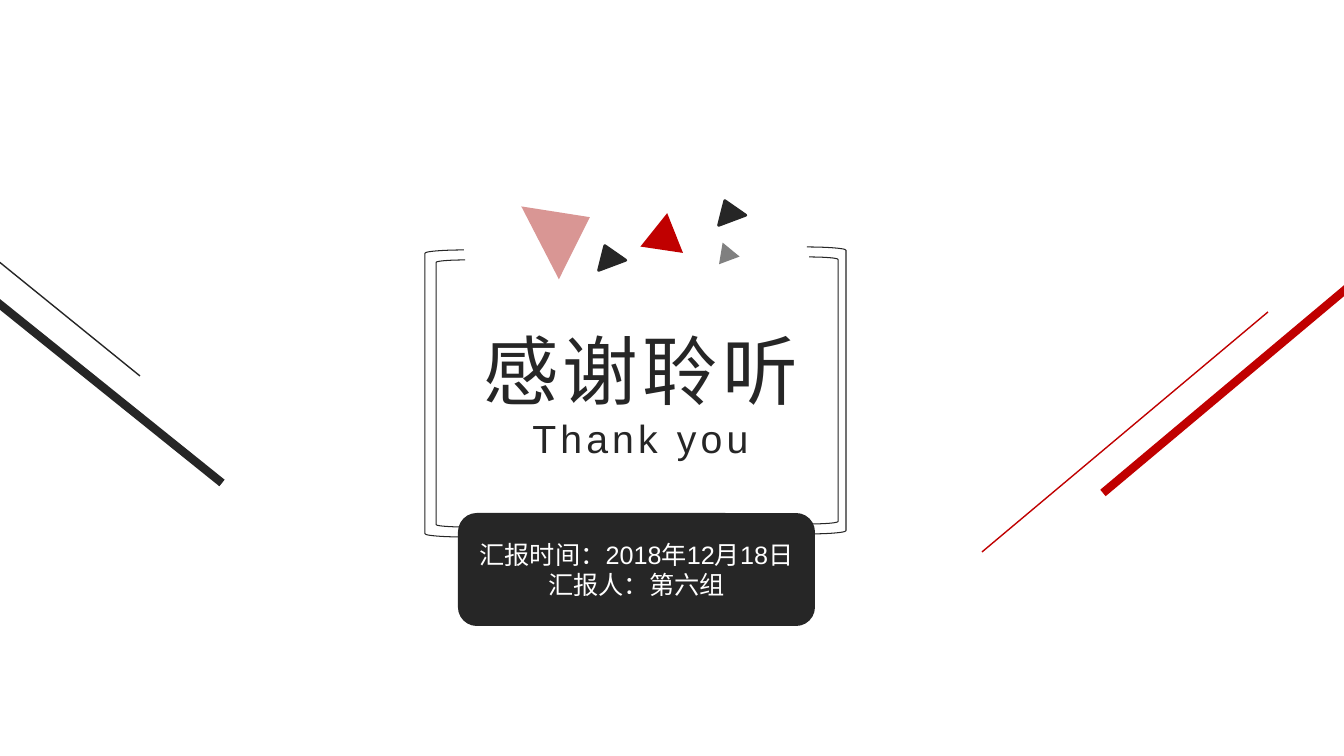
from lxml.etree import SubElement
from pptx import Presentation
from pptx.dml.color import RGBColor
from pptx.enum.shapes import MSO_CONNECTOR as Link, MSO_SHAPE as Form
from pptx.enum.text import MSO_ANCHOR as Anchor, MSO_AUTO_SIZE as Fit, PP_ALIGN as Align
from pptx.oxml.ns import qn
from pptx.util import Pt

SCALE = 914400 / 100.8
DARK, RED, PINK, GRAY, WHITE = "262626", "C00000", "D99694", "808080", "FFFFFF"


def px(*sizes):
    return [round(size * SCALE) for size in sizes]


def paint(target, color):
    target.rgb = RGBColor.from_string(color)


def write(frame, lines, sizes, color=DARK, space=0, wrap=True, anchor=Anchor.TOP):
    frame.word_wrap = wrap
    frame.vertical_anchor = anchor
    for i, (line, size) in enumerate(zip(lines, sizes)):
        para = frame.paragraphs[0] if i == 0 else frame.add_paragraph()
        para.alignment = Align.CENTER
        run = para.add_run()
        run.text = line
        run.font.name = "Arial"
        run.font.size = Pt(size)
        paint(run.font.color, color)
        if space:
            run._r.get_or_add_rPr().set("spc", str(space * 100))


def add_form(slide, form, box, fill=None, line=None, width=1, turn=0):
    shape = slide.shapes.add_shape(form, *px(*box))
    shape.shadow.inherit = False
    shape.rotation = turn
    if fill:
        shape.fill.solid()
        paint(shape.fill.fore_color, fill)
    else:
        shape.fill.background()
    if line:
        paint(shape.line.color, line)
        shape.line.width = Pt(width)
    else:
        shape.line.fill.background()
    return shape


def add_line(slide, ends, color, width):
    line = slide.shapes.add_connector(Link.STRAIGHT, *px(*ends))
    paint(line.line.color, color)
    line.line.width = Pt(width)
    SubElement(line._element.spPr, qn("a:effectLst"))


def add_title(slide):
    title = slide.shapes.add_textbox(*px(469, 319, 343, 149))
    write(title.text_frame, ["感谢聆听", "Thank you"], [54, 28], space=3, wrap=False)
    title.text_frame.auto_size = Fit.SHAPE_TO_FIT_TEXT


def add_label(slide):
    label = add_form(slide, Form.ROUNDED_RECTANGLE, (458, 513, 357, 113), fill=DARK)
    lines = ["汇报时间：2018年12月18日", "汇报人：第六组"]
    write(label.text_frame, lines, [18, 18], color=WHITE, anchor=Anchor.MIDDLE)


def main():
    deck = Presentation()
    deck.slide_width, deck.slide_height = px(1344, 756)
    slide = deck.slides.add_slide(deck.slide_layouts[6])

    add_title(slide)
    for box, turn, fill, line in [
        ((643, 213, 43, 37), 8.5, RED, None),
        ((715, 242, 22, 19), 339.5, GRAY, None),
        ((594, 245, 29, 21), 339.5, DARK, DARK),
        ((524, 202, 82, 56), 62.7, PINK, None),
        ((714, 200, 29, 21), 339.5, DARK, DARK),
    ]:
        add_form(slide, Form.ISOSCELES_TRIANGLE, box, fill, line, 2, turn)

    add_label(slide)
    for form, box in [
        (Form.LEFT_BRACKET, (436, 260, 29, 267)),
        (Form.LEFT_BRACKET, (425, 250, 39, 287)),
        (Form.RIGHT_BRACKET, (809, 257, 29, 267)),
        (Form.RIGHT_BRACKET, (807, 247, 39, 287)),
    ]:
        add_form(slide, form, box, line=DARK, width=0.75)

    for ends, color, width in [
        ((1103, 493, 1389, 253), RED, 6),
        ((982, 552, 1268, 312), RED, 1),
        ((-69, 249, 222, 483), DARK, 6),
        ((-150, 141, 140, 376), DARK, 1),
    ]:
        add_line(slide, ends, color, width)

    deck.save("out.pptx")


if __name__ == "__main__":
    main()
